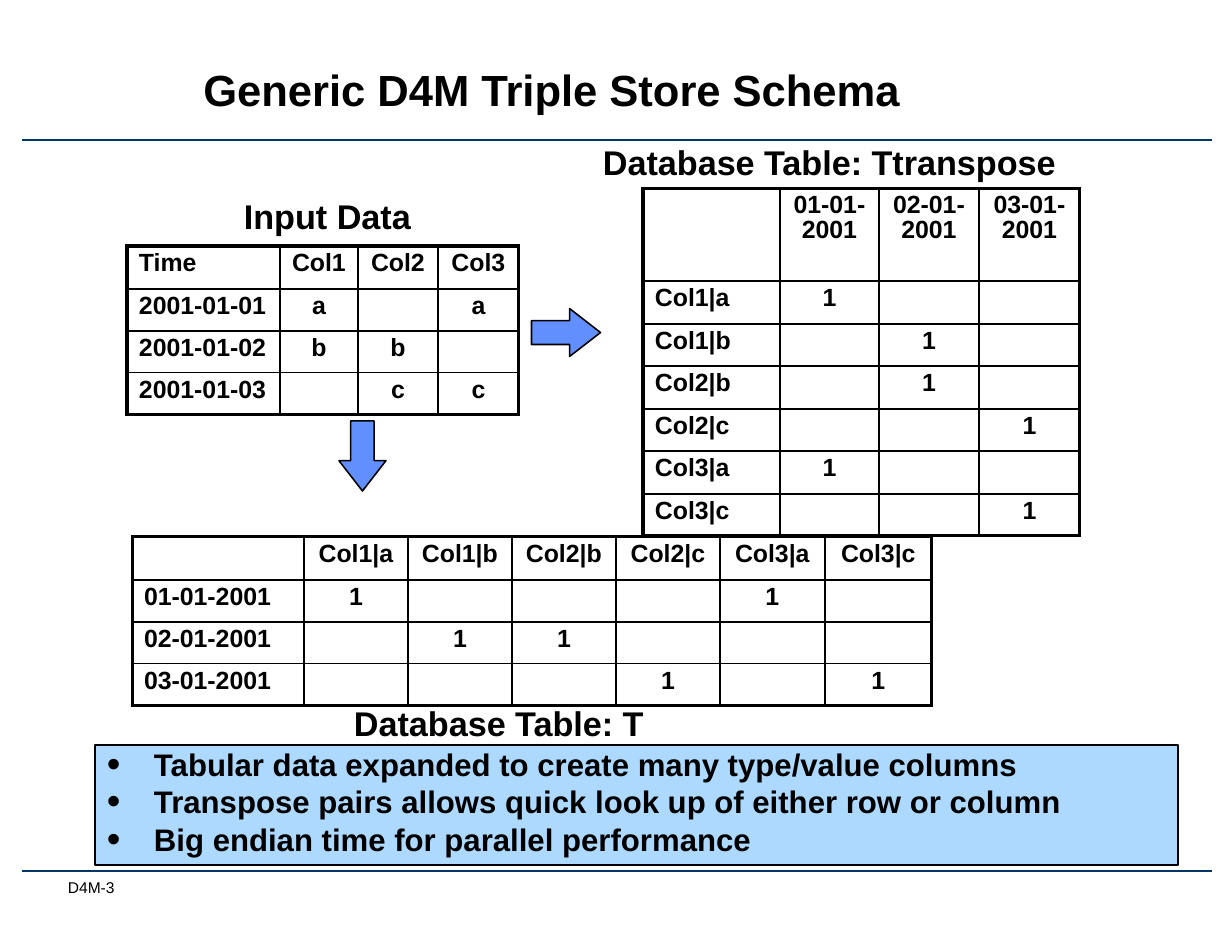
from lxml.etree import SubElement
from pptx import Presentation
from pptx.dml.color import RGBColor
from pptx.enum.shapes import MSO_CONNECTOR as Connector, MSO_SHAPE as Shape
from pptx.enum.text import MSO_ANCHOR as Anchor, MSO_AUTO_SIZE as AutoSize, PP_ALIGN as Align
from pptx.oxml.ns import qn
from pptx.util import Emu, Pt

THEME = {
    "font": "Arial",
    "ink": "000000", "rule": "003767", "panel": "AED9FF", "arrow": "618FFD",
    "title": 28, "label": 22, "point": 20, "cell": 16, "footer": 10,
    "outer": 2.25, "inner": 1, "rule_width": 1.75, "panel_line": 0.75,
}
TITLE = ("Generic D4M Triple Store Schema", (62, 35, 979, 113))
FOOTER = ("D4M-3", (62, 878, 147, 30))
RULES = [140, 871]
LABELS = [
    ("Input Data", (232, 189, 194, 54)),
    ("Database Table: T", (342, 696, 340, 54)),
    ("Database Table: Ttranspose", (591, 135, 504, 54)),
]
DATES = ["01-01-2001", "02-01-2001", "03-01-2001"]
PAIRS = ["Col1|a", "Col1|b", "Col2|b", "Col2|c", "Col3|a", "Col3|c"]
HITS = ["100010", "011000", "000101"]
INPUT = [
    ["Time", "Col1", "Col2", "Col3"],
    ["2001-01-01", "a", "", "a"],
    ["2001-01-02", "b", "b", ""],
    ["2001-01-03", "", "c", "c"],
]
POINTS = [
    "Tabular data expanded to create many type/value columns",
    "Transpose pairs allows quick look up of either row or column",
    "Big endian time for parallel performance",
]
PANEL = (95, 745, 1083, 120)
ARROWS = [((339, 421, 47, 70), 0), ((542, 298, 48, 69), 270)]

exploded = [["", *PAIRS]] + [
    [date, *("1" if hit == "1" else "" for hit in hits)] for date, hits in zip(DATES, HITS)
]
transposed = [list(row) for row in zip(*exploded)]
TABLES = [
    (INPUT, (127, 246), [153, 78, 80, 81], [43, 40, 40, 40]),
    (exploded, (132, 537), [172] + [104] * 4 + [105, 107], [43, 40, 40, 40]),
    (transposed, (643, 188), [137, 99, 100, 101], [93] + [43, 42] * 3),
]


def px(count):
    return Emu(round(count * 914400 / 112))


def box(frame):
    return [px(length) for length in frame]


def color(name):
    return RGBColor.from_string(THEME[name])


def assign(target, **values):
    for name, value in values.items():
        setattr(target, name, value)


def write(paragraph, text, size, bold=True, **layout):
    assign(paragraph, **layout)
    run = paragraph.add_run()
    run.text = text
    assign(run.font, name=THEME["font"], size=Pt(THEME[size]), bold=bold)
    run.font.color.rgb = color("ink")


def inset(target, left=12, top=6, right=12, bottom=6):
    assign(target, margin_left=px(left), margin_top=px(top),
           margin_right=px(right), margin_bottom=px(bottom))


def outline(shape, ink, width):
    shape.line.color.rgb = color(ink)
    shape.line.width = Pt(width)


def add_label(slide, text, frame):
    body = slide.shapes.add_textbox(*box(frame)).text_frame
    inset(body)
    assign(body, word_wrap=False, auto_size=AutoSize.SHAPE_TO_FIT_TEXT)
    write(body.paragraphs[0], text, "label")


def add_block(slide, kind, frame, fill, width):
    shape = slide.shapes.add_shape(kind, *box(frame))
    shape.shadow.inherit = False
    shape.fill.solid()
    shape.fill.fore_color.rgb = color(fill)
    outline(shape, "ink", width)
    return shape


def add_borders(cell, outer_sides):
    properties = cell._tc.get_or_add_tcPr()
    for position, (side, outer) in enumerate(outer_sides.items()):
        width = THEME["outer" if outer else "inner"]
        line = SubElement(properties, qn(f"a:{side}"), w=str(Pt(width)))
        fill = SubElement(line, qn("a:solidFill"))
        SubElement(fill, qn("a:srgbClr"), val=THEME["ink"])
        properties.remove(line)
        properties.insert(position, line)


def add_grid(slide, rows, corner, widths, heights):
    frame = (*corner, sum(widths), sum(heights))
    table = slide.shapes.add_table(len(rows), len(widths), *box(frame)).table
    assign(table, first_row=False, horz_banding=False)
    for column, width in zip(table.columns, widths):
        column.width = px(width)
    for row, height in zip(table.rows, heights):
        row.height = px(height)
    for r, row in enumerate(rows):
        for c, text in enumerate(row):
            cell = table.cell(r, c)
            inset(cell)
            cell.fill.background()
            paragraph = cell.text_frame.paragraphs[0]
            if text:
                write(paragraph, text, "cell", line_spacing=0.9,
                      alignment=Align.CENTER if c else Align.LEFT)
            else:
                paragraph.line_spacing = 0.9
                SubElement(paragraph._p, qn("a:endParaRPr"), sz=str(THEME["cell"] * 100))
            add_borders(cell, {"lnL": c == 0, "lnR": c == len(row) - 1,
                               "lnT": r == 0, "lnB": r == len(rows) - 1})


def add_points(slide):
    body = add_block(slide, Shape.RECTANGLE, PANEL, "panel", THEME["panel_line"]).text_frame
    inset(body)
    assign(body, word_wrap=True, vertical_anchor=Anchor.MIDDLE)
    for index, point in enumerate(POINTS):
        paragraph = body.add_paragraph() if index else body.paragraphs[0]
        write(paragraph, point, "point", alignment=Align.LEFT, line_spacing=0.8,
              space_before=Pt(THEME["point"] / 4))
        properties = paragraph._p.get_or_add_pPr()
        properties.set("marL", str(px(47)))
        properties.set("indent", str(px(-47)))
        SubElement(properties, qn("a:buSzPct"), val="125000")
        SubElement(properties, qn("a:buFont"), typeface=THEME["font"])
        SubElement(properties, qn("a:buChar"), char="•")


def main():
    deck = Presentation()
    assign(deck, slide_width=px(1232), slide_height=px(952))
    slide = deck.slides.add_slide(deck.slide_layouts[5])

    for y in RULES:
        rule = slide.shapes.add_connector(Connector.STRAIGHT, *box((22, y, 1212, y)))
        outline(rule, "rule", THEME["rule_width"])
        SubElement(rule._element.spPr, qn("a:effectLst"))

    text, frame = FOOTER
    footer = slide.shapes.add_textbox(*box(frame)).text_frame
    inset(footer, 6, 0, 0, 0)
    footer.word_wrap = True
    write(footer.paragraphs[0], text, "footer", bold=False)

    text, frame = TITLE
    title = slide.shapes.title
    assign(title, **dict(zip(("left", "top", "width", "height"), box(frame))))
    inset(title.text_frame)
    assign(title.text_frame, vertical_anchor=Anchor.MIDDLE, word_wrap=True)
    write(title.text_frame.paragraphs[0], text, "title",
          alignment=Align.CENTER, line_spacing=Pt(30))

    for grid in TABLES:
        add_grid(slide, *grid)
    for label in LABELS:
        add_label(slide, *label)
    add_points(slide)
    for frame, turn in ARROWS:
        arrow = add_block(slide, Shape.DOWN_ARROW, frame, "arrow", THEME["inner"])
        arrow.adjustments[1] = 0.645
        arrow.rotation = turn

    deck.save("out.pptx")


if __name__ == "__main__":
    main()
